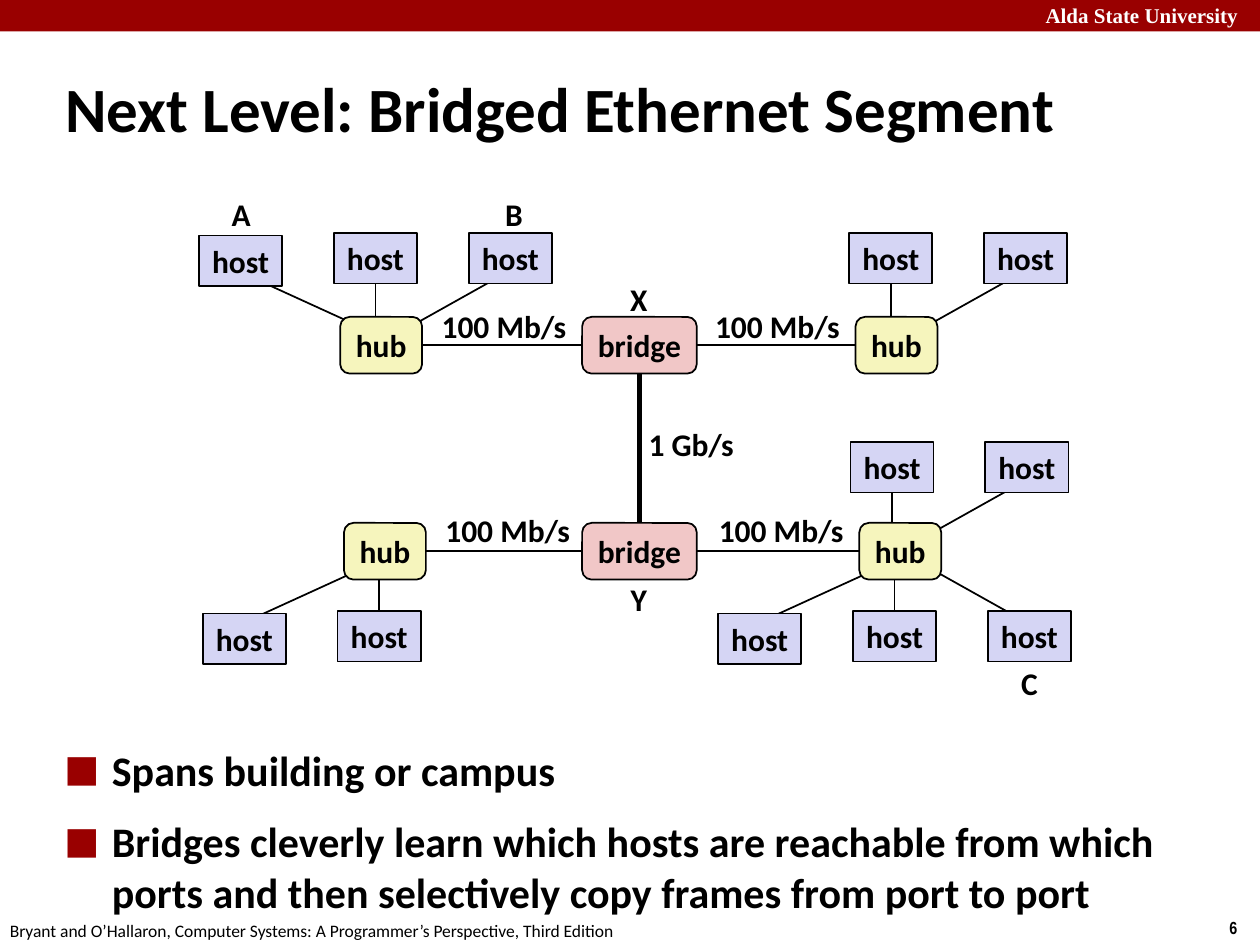
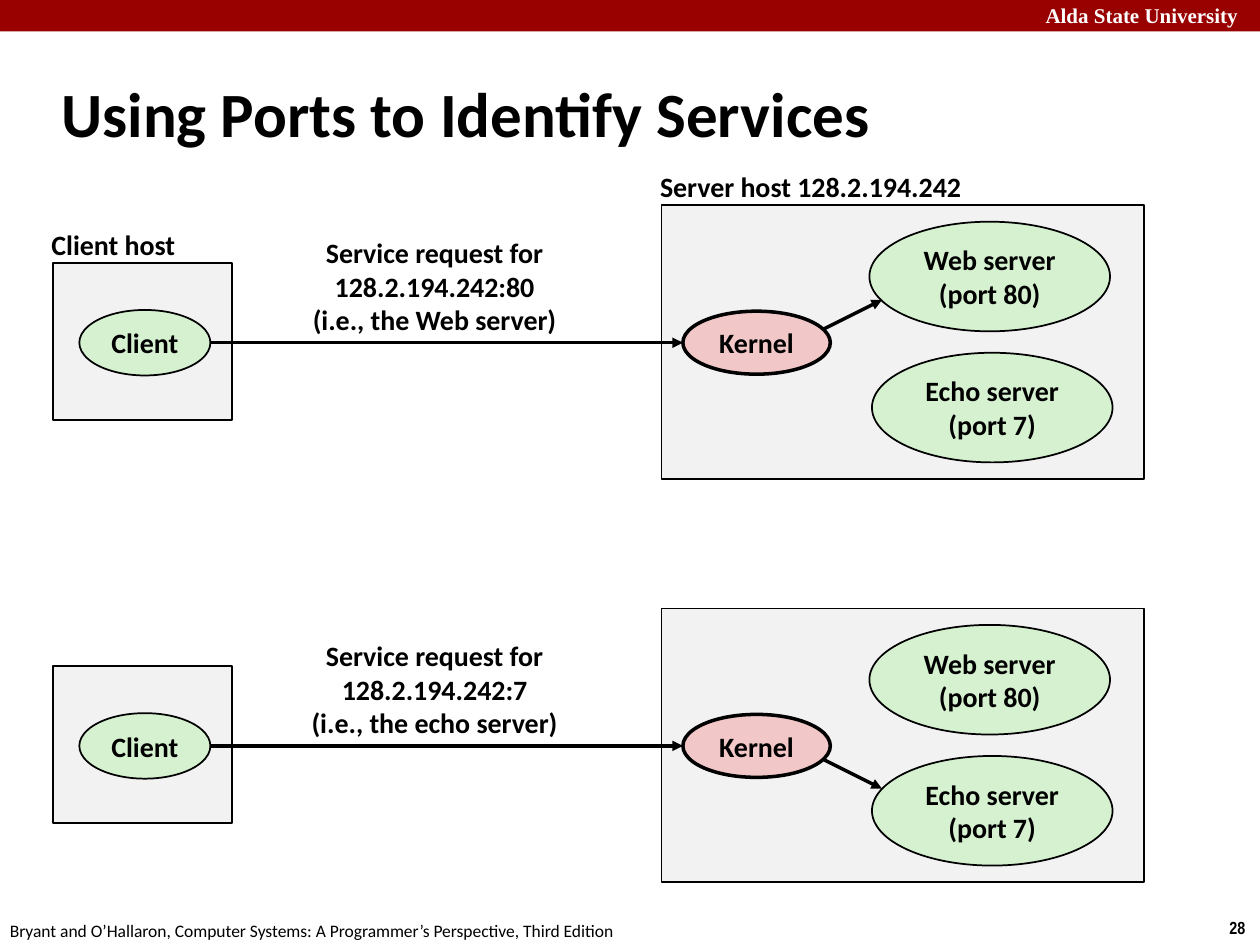
from dataclasses import dataclass
from typing import Any

from lxml import etree
from pptx import Presentation, util as u
from pptx.dml.color import RGBColor
from pptx.enum import shapes, text
from pptx.oxml import ns

WIDTH, HEIGHT = u.Inches(10), u.Inches(7.5)
COL, ROW = WIDTH / 100, HEIGHT / 75

BLACK = RGBColor(0x00, 0x00, 0x00)
WHITE = RGBColor(0xFF, 0xFF, 0xFF)
CRIMSON = RGBColor(0x99, 0x00, 0x00)
LAVENDER = RGBColor(0xD5, 0xD5, 0xF4)
CREAM = RGBColor(0xF6, 0xF5, 0xBD)
PINK = RGBColor(0xF1, 0xC7, 0xC7)
GREEN = RGBColor(0xD5, 0xF1, 0xCF)
GREY = RGBColor(0xF2, 0xF2, 0xF2)

RECT = shapes.MSO_SHAPE.RECTANGLE
ROUNDED = shapes.MSO_SHAPE.ROUNDED_RECTANGLE
OVAL = shapes.MSO_SHAPE.OVAL
LEFT, CENTER = text.PP_ALIGN.LEFT, text.PP_ALIGN.CENTER
TOP, MIDDLE = text.MSO_ANCHOR.TOP, text.MSO_ANCHOR.MIDDLE
SIDE_TOP, SIDE_LEFT, SIDE_BOTTOM, SIDE_RIGHT = range(4)


@dataclass(frozen=True)
class Area:
    x: float
    y: float
    w: float
    h: float

    def emu(self) -> tuple[int, ...]:
        return (round(self.x * COL), round(self.y * ROW),
                round(self.w * COL), round(self.h * ROW))


@dataclass(frozen=True)
class TextStyle:
    size: int
    name: str = "Calibri"
    bold: bool = True
    color: RGBColor = BLACK
    align: Any = CENTER
    anchor: Any = MIDDLE
    wrap: bool = False


@dataclass(frozen=True)
class NodeStyle:
    preset: Any
    fill: RGBColor
    font: TextStyle
    line: float = 1


TITLE = TextStyle(36, align=LEFT, wrap=True)
BODY = TextStyle(24, align=LEFT, anchor=TOP, wrap=True)
NETWORK = TextStyle(18)
SERVICE = TextStyle(16)
CAPTION = TextStyle(16, align=LEFT, anchor=TOP)
REQUEST = TextStyle(16, anchor=TOP)
BRAND = TextStyle(12, "Times New Roman", color=WHITE, align=LEFT, anchor=TOP)
NUMBER = TextStyle(10, "Arial Narrow", align=LEFT, anchor=TOP)
CREDIT = TextStyle(10, bold=False, align=LEFT, anchor=TOP)

HOST = NodeStyle(RECT, LAVENDER, NETWORK)
HUB = NodeStyle(ROUNDED, CREAM, NETWORK)
BRIDGE = NodeStyle(ROUNDED, PINK, NETWORK)
PANEL = NodeStyle(RECT, GREY, SERVICE)
PROCESS = NodeStyle(OVAL, GREEN, SERVICE)
KERNEL = NodeStyle(OVAL, PINK, SERVICE, 2)


def set_format(target: Any, values: dict[str, Any]) -> None:
    for name, value in values.items():
        setattr(target, name, value)


def write(s: Any, lines: list[str], style: TextStyle) -> Any:
    tf = s.text_frame
    set_format(tf, {"word_wrap": style.wrap, "vertical_anchor": style.anchor})
    for i, line in enumerate(lines):
        p = tf.add_paragraph() if i else tf.paragraphs[0]
        p.alignment = style.align
        r = p.add_run()
        r.text = line
        set_format(r.font, {"size": u.Pt(style.size), "name": style.name,
                            "bold": style.bold})
        r.font.color.rgb = style.color
    return s


def add_label(slide: Any, area: Area, lines: list[str], style: TextStyle) -> Any:
    return write(slide.shapes.add_textbox(*area.emu()), lines, style)


def add_node(slide: Any, area: Area, style: NodeStyle, *lines: str) -> Any:
    s = slide.shapes.add_shape(style.preset, *area.emu())
    s.shadow.inherit = False
    s.fill.solid()
    s.fill.fore_color.rgb = style.fill
    if style.line:
        s.line.color.rgb = BLACK
        s.line.width = u.Pt(style.line)
    else:
        s.line.fill.background()
    return write(s, list(lines), style.font) if lines else s


def add_link(slide: Any, x1: float, y1: float, x2: float, y2: float,
             width: float = 1, arrow: bool = False) -> Any:
    s = slide.shapes.add_connector(
        shapes.MSO_CONNECTOR.STRAIGHT, round(x1 * COL), round(y1 * ROW),
        round(x2 * COL), round(y2 * ROW))
    s.line.color.rgb = BLACK
    s.line.width = u.Pt(width)
    if arrow:
        etree.SubElement(s.line._get_or_add_ln(), ns.qn("a:tailEnd"), type="triangle")
    etree.SubElement(s._element.spPr, ns.qn("a:effectLst"))
    return s


def join(slide: Any, first: Any, first_side: int, second: Any, second_side: int,
         width: float = 1) -> None:
    s = add_link(slide, 0, 0, 1, 1, width)
    s.begin_connect(first, first_side)
    s.end_connect(second, second_side)


def add_bullet(p: Any) -> None:
    pPr = p._p.get_or_add_pPr()
    indent = u.Inches(0.38)
    pPr.set("marL", str(indent))
    pPr.set("indent", str(-indent))
    color = etree.SubElement(pPr, ns.qn("a:buClr"))
    etree.SubElement(color, ns.qn("a:srgbClr"), val=str(CRIMSON))
    etree.SubElement(pPr, ns.qn("a:buSzPct"), val="140000")
    etree.SubElement(pPr, ns.qn("a:buFont"), typeface="Times New Roman")
    etree.SubElement(pPr, ns.qn("a:buChar"), char="■")


def add_frame(prs: Any, title: str, title_area: Area, number: int) -> Any:
    slide = prs.slides.add_slide(prs.slide_layouts[6])
    add_node(slide, Area(0, 0, 100, 2.5), NodeStyle(RECT, CRIMSON, BRAND, 0))
    add_label(slide, Area(82, -0.3, 18.7, 3), ["Alda State University"], BRAND)
    add_label(slide, Area(96.6, 72.3, 3.4, 2.7), [str(number)], NUMBER)
    add_label(slide, Area(-0.2, 72.5, 50.8, 2.7),
              ["Bryant and O’Hallaron, Computer Systems: "
               "A Programmer’s Perspective, Third Edition"], CREDIT)
    add_label(slide, title_area, [title], TITLE)
    return slide


@dataclass(frozen=True)
class Spoke:
    host_x: float
    start_x: float
    end_x: float
    drop: float = 0


@dataclass(frozen=True)
class Side:
    host_y: float
    start_y: float
    end_y: float
    host_side: int


@dataclass(frozen=True)
class Cluster:
    x: float
    y: float
    side: Side
    spokes: tuple[Spoke, ...]


OUTER_LEFT = Spoke(-11.2, -7.7, 1.5, 0.2)
STRAIGHT = Spoke(-0.5, 2.8, 2.8)
OUTER_RIGHT = Spoke(10.2, 13.1, 5.6)
ABOVE = Side(-6.6, -3.4, 0.8, SIDE_BOTTOM)
BELOW = Side(7, 7.8, 3.6, SIDE_TOP)
CLUSTERS = (
    Cluster(27, 25.1, ABOVE, (OUTER_LEFT, STRAIGHT, OUTER_RIGHT)),
    Cluster(67.9, 25.1, ABOVE, (STRAIGHT, OUTER_RIGHT)),
    Cluster(27.3, 41.5, BELOW, (OUTER_LEFT, STRAIGHT)),
    Cluster(68.2, 41.5, BELOW, (OUTER_LEFT, STRAIGHT, OUTER_RIGHT)),
    Cluster(68, 41.7, ABOVE, (STRAIGHT, OUTER_RIGHT)),
)


def add_cluster(slide: Any, c: Cluster) -> None:
    for spoke in c.spokes:
        link = add_link(slide, c.x + spoke.start_x, c.y + c.side.start_y,
                        c.x + spoke.end_x, c.y + c.side.end_y)
        host = add_node(slide, Area(c.x + spoke.host_x,
                                    c.y + c.side.host_y + spoke.drop, 6.6, 4),
                        HOST, "host")
        if spoke is STRAIGHT:
            link.begin_connect(host, c.side.host_side)


def add_segment(slide: Any, y: float, shift: float, label_y: float) -> Any:
    hubs = [add_node(slide, Area(x + shift, y, 6.5, 4.5), HUB, "hub")
            for x in (27, 67.9)]
    bridge = add_node(slide, Area(46.2, y, 9.1, 4.5), BRIDGE, "bridge")
    join(slide, hubs[0], SIDE_RIGHT, bridge, SIDE_LEFT)
    join(slide, bridge, SIDE_RIGHT, hubs[1], SIDE_LEFT)
    for x in (34, 55.7):
        add_label(slide, Area(x + shift, label_y, 12, 4), ["100 Mb/s"], NETWORK)
    return bridge


def build_bridged_ethernet(prs: Any) -> None:
    slide = add_frame(prs, "Next Level: Bridged Ethernet Segment",
                      Area(4.2, 5.4, 89.9, 6.3), 6)
    for cluster in CLUSTERS:
        add_cluster(slide, cluster)
    bridge_x = add_segment(slide, 25.15, 0, 23.9)
    bridge_y = add_segment(slide, 41.5, 0.3, 40.1)
    join(slide, bridge_x, SIDE_BOTTOM, bridge_y, SIDE_TOP, 3)
    add_label(slide, Area(50.4, 33.2, 8.9, 4), ["1 Gb/s"], NETWORK)
    for name, x, y in (("A", 17.4, 15), ("B", 39.1, 15), ("C", 80, 52.2),
                       ("X", 49, 21.7), ("Y", 49, 45.5)):
        add_label(slide, Area(x, y, 3.4, 4), [name], NETWORK)
    body = add_label(slide, Area(4.1, 59.2, 90.9, 9.1), [
        "Spans building or campus",
        "Bridges cleverly learn which hosts are reachable from which ports "
        "and then selectively copy frames from port to port"], BODY)
    first, second = body.text_frame.paragraphs
    first.line_spacing = 0.85
    second.space_before = u.Pt(12)
    for p in (first, second):
        add_bullet(p)


@dataclass(frozen=True)
class Scene:
    top: float
    port: int
    server: str
    heading: int


SCENES = (Scene(16.3, 80, "Web", -1), Scene(48.3, 7, "echo", 1))


def add_scene(slide: Any, scene: Scene) -> None:
    top = scene.top
    axis = top + 10.9
    add_node(slide, Area(4.2, top + 4.55, 14.2, 12.5), PANEL)
    add_node(slide, Area(52.5, top, 38.3, 21.7), PANEL)
    add_node(slide, Area(69, top + 1.3, 19.1, 8.7), PROCESS, "Web server", "(port 80)")
    add_node(slide, Area(69.2, top + 11.7, 19.1, 8.7), PROCESS, "Echo server", "(port 7)")
    add_label(slide, Area(20, top + 1.9, 29, 9),
              ["Service request for", f"128.2.194.242:{scene.port}",
               f"(i.e., the {scene.server} server)"], REQUEST)
    add_link(slide, 16.7, axis, 54.2, axis, 2, True)
    add_link(slide, 65, axis + 0.9 * scene.heading,
             70, axis + 3.4 * scene.heading, 2, True)
    add_node(slide, Area(54.2, axis - 2.5, 11.7, 5), KERNEL, "Kernel")
    add_node(slide, Area(6.3, axis - 2.6, 10.4, 5.2), PROCESS, "Client")


def build_ports(prs: Any) -> None:
    slide = add_frame(prs, "Using Ports to Identify Services",
                      Area(3.9, 4.8, 83, 8.3), 28)
    for scene in SCENES:
        add_scene(slide, scene)
    add_label(slide, Area(3.1, 17.6, 11.9, 3.7), ["Client host"], CAPTION)
    add_label(slide, Area(51.4, 13, 26.3, 3.7), ["Server host 128.2.194.242"], CAPTION)


def main() -> None:
    prs = Presentation()
    set_format(prs, {"slide_width": WIDTH, "slide_height": HEIGHT})
    build_bridged_ethernet(prs)
    build_ports(prs)
    prs.save("out.pptx")


if __name__ == "__main__":
    main()
